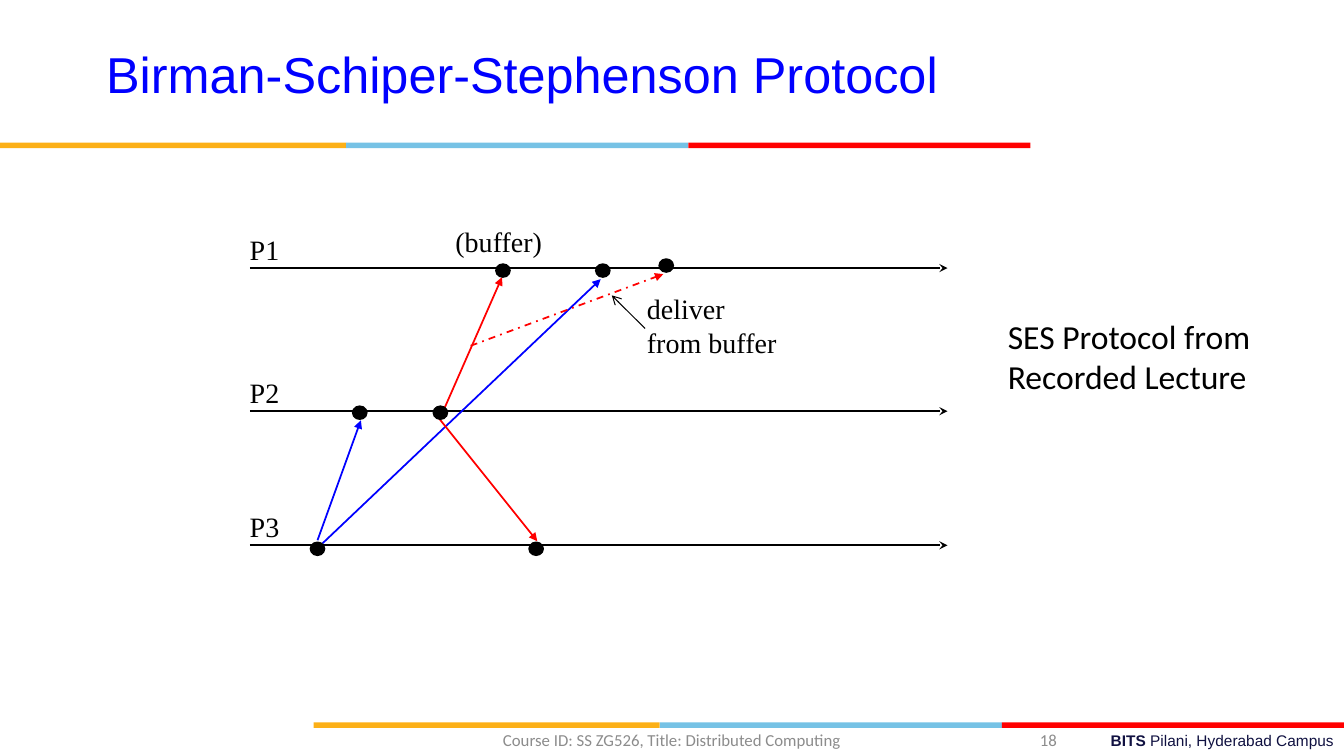
from collections import namedtuple

from lxml import etree
from pptx import Presentation
from pptx.dml.color import RGBColor
from pptx.enum.dml import MSO_LINE
from pptx.enum.shapes import MSO_CONNECTOR, MSO_SHAPE
from pptx.enum.text import MSO_ANCHOR, MSO_AUTO_SIZE, PP_ALIGN
from pptx.oxml.ns import qn
from pptx.util import Pt

STRAIGHT = MSO_CONNECTOR.STRAIGHT
RECTANGLE, OVAL = MSO_SHAPE.RECTANGLE, MSO_SHAPE.OVAL
DASH_DOT = MSO_LINE.DASH_DOT
TOP, MIDDLE = MSO_ANCHOR.TOP, MSO_ANCHOR.MIDDLE
LEFT, CENTER, RIGHT = PP_ALIGN.LEFT, PP_ALIGN.CENTER, PP_ALIGN.RIGHT
NO_AUTOFIT = MSO_AUTO_SIZE.NONE

BLACK, BLUE, RED = "000000", "0000FF", "FF0000"
AMBER, SKY, NAVY, GREY = "FCB017", "76C2E5", "101141", "8C8C8C"

Box = namedtuple("Box", "left top width height")


def color(value):
    return RGBColor.from_string(value)


def format_text(frame, font, size, shade, align=LEFT, anchor=TOP):
    frame.auto_size = NO_AUTOFIT
    frame.vertical_anchor = anchor
    for para in frame.paragraphs:
        para.alignment = align
        for span in para.runs:
            span.font.name = font
            span.font.size = Pt(size)
            span.font.color.rgb = color(shade)


def add_label(page, box, text, font, size, shade, align=LEFT, anchor=TOP, wrap=True):
    label = page.shapes.add_textbox(*map(Pt, box))
    label.text_frame.word_wrap = wrap
    label.text_frame.text = text
    format_text(label.text_frame, font, size, shade, align, anchor)
    return label


def add_solid(page, kind, box, fill):
    solid = page.shapes.add_shape(kind, *map(Pt, box))
    solid.shadow.inherit = False
    solid.fill.solid()
    solid.fill.fore_color.rgb = color(fill)
    solid.line.fill.background()
    return solid


def add_arrow(page, start, end, shade, width, head, dash=None):
    arrow = page.shapes.add_connector(STRAIGHT, *map(Pt, start + end))
    arrow.line.color.rgb = color(shade)
    arrow.line.width = Pt(width)
    if dash:
        arrow.line.dash_style = dash
    properties = arrow.element.spPr
    etree.SubElement(properties.find(qn("a:ln")), qn("a:tailEnd"), type=head)
    etree.SubElement(properties, qn("a:effectLst"))


def add_title(page, box, text):
    title = page.shapes.title
    title.left, title.top, title.width, title.height = map(Pt, box)
    title.text_frame.text = text
    format_text(title.text_frame, "Arial", 36, BLUE, CENTER, MIDDLE)


def add_stripe(page, box):
    left = box.left
    for fill, share in ((AMBER, 0.336), (SKY, 0.332), (RED, 0.332)):
        width = box.width * share
        add_solid(page, RECTANGLE, Box(left, box.top, width, box.height), fill)
        left += width


def add_diagram(page, box):
    def place(x, y):
        return box.left + x, box.top + y

    def add_note(x, y, width, height, text, anchor=TOP):
        add_label(page, Box(*place(x, y), width, height), text,
                  "Times New Roman", 20, BLACK, anchor=anchor, wrap=False)

    lanes = (0, 102.2, box.height)
    for number, lane in enumerate(lanes, 1):
        add_arrow(page, place(0, lane), place(box.width, lane), BLACK, 1.5, "stealth")
        add_note(-7.2, lane - 28.8, 35, 31, f"P{number}")

    messages = (
        ((48.3, 194.4), (79.3, 108.7), BLUE),
        ((51.9, 196.6), (250.6, 7.9), BLUE),
        ((139, 100.1), (180.1, 6.5), RED),
        ((133.3, 105.1), (205.3, 195.1), RED),
    )
    for start, end, shade in messages:
        add_arrow(page, place(*start), place(*end), shade, 1.25, "triangle")
    add_arrow(page, place(157.7, 55.5), place(295.3, 4.3), RED, 1.25, "triangle", DASH_DOT)

    add_note(139.7, -34.5, 76, 31, "(buffer)")
    add_note(276.5, 13, 107, 55.4, "deliver\nfrom buffer", MIDDLE)
    add_arrow(page, place(282.3, 43.2), place(258.5, 19.5), BLACK, 0.75, "arrow")

    events = ((180.8, 1.8), (252.1, 1.8), (78.5, 103.3), (136.1, 103.3),
              (204.5, 200.5), (48.3, 200.5), (297.4, -1.8))
    width, height = 10.2, 9.4
    for x, y in events:
        corner = place(x - width / 2, y - height / 2)
        dot = add_solid(page, OVAL, Box(*corner, width, height), BLACK)
        dot.line.color.rgb = color(BLACK)
        dot.line.width = Pt(1)


def add_footer(page, box):
    add_stripe(page, Box(box.left, box.top, box.width, 3.9))
    campus = add_label(page, Box(box.left + 120, box.top + 3, box.width - 120, 21),
                       "", "Arial", 11, NAVY)
    para = campus.text_frame.paragraphs[0]
    for text, bold in (("BITS ", True), ("Pilani, Hyderabad Campus", False)):
        span = para.add_run()
        span.text = text
        span.font.bold = bold
    format_text(campus.text_frame, "Arial", 11, NAVY, RIGHT)
    for x, width, text, align in (
        (94, 324, "Course ID: SS ZG526, Title: Distributed Computing", CENTER),
        (440, 98, "18", RIGHT),
    ):
        add_label(page, Box(box.left + x, box.top - 2, width, 28.8), text,
                  "Calibri", 12, GREY, align, MIDDLE)


def main():
    deck = Presentation()
    deck.slide_width, deck.slide_height = Pt(960), Pt(540)
    page = deck.slides.add_slide(deck.slide_layouts[5])
    add_stripe(page, Box(0, 102, 736, 3.9))
    add_title(page, Box(41, 7.2, 664, 90), "Birman-Schiper-Stephenson Protocol")
    add_diagram(page, Box(178.5, 191.5, 498.3, 198))
    add_label(page, Box(712.8, 221.8, 225.4, 65.5), "SES Protocol from Recorded Lecture",
              "Calibri", 24, BLACK)
    add_footer(page, Box(224, 516, 736, 24))
    deck.save("out.pptx")


if __name__ == "__main__":
    main()
